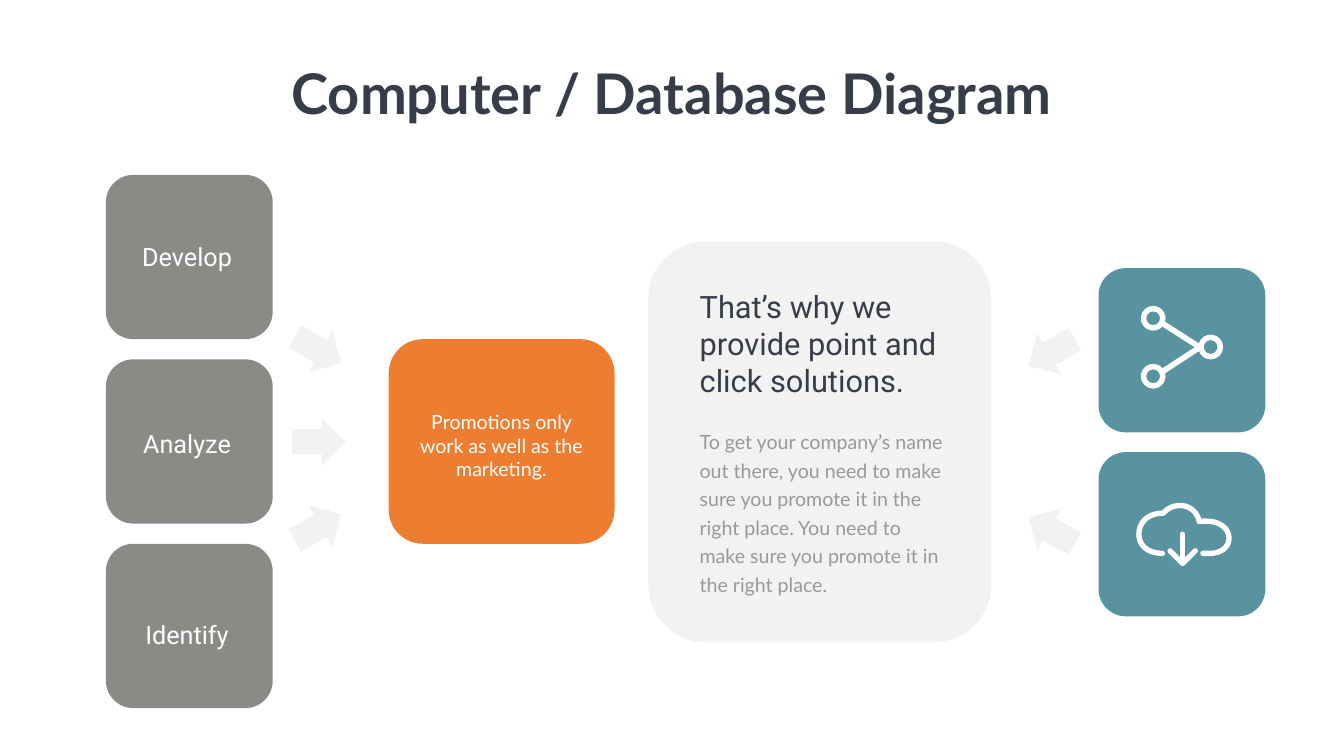
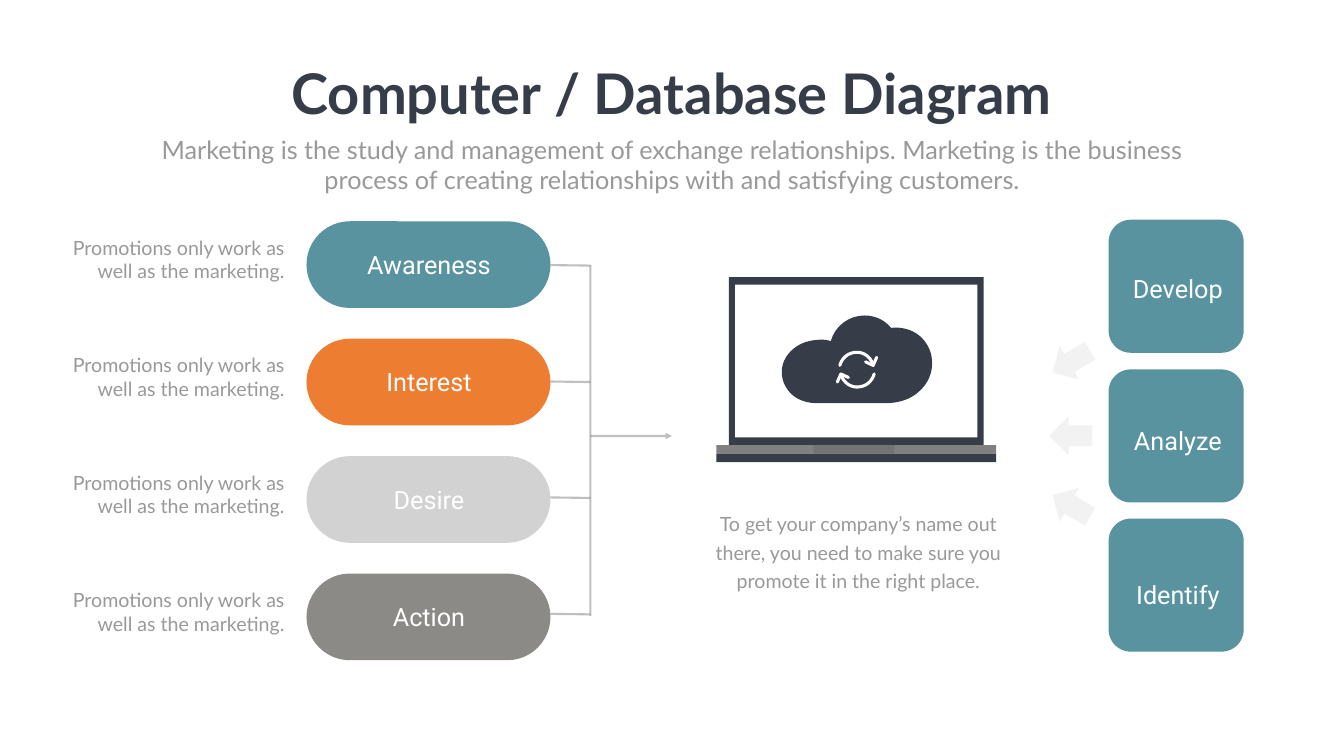
from lxml import etree
from pptx import Presentation
from pptx.dml.color import RGBColor
from pptx.enum.shapes import MSO_CONNECTOR, MSO_SHAPE
from pptx.enum.text import MSO_ANCHOR, MSO_AUTO_SIZE, PP_ALIGN
from pptx.oxml.ns import qn
from pptx.util import Emu, Pt

PX = 9144
TITLE_ONLY = 5
ROUNDED = MSO_SHAPE.ROUNDED_RECTANGLE
RECTANGLE = MSO_SHAPE.RECTANGLE
RIGHT_ARROW = MSO_SHAPE.RIGHT_ARROW
DONUT = MSO_SHAPE.DONUT
STRAIGHT = MSO_CONNECTOR.STRAIGHT
LEFT, CENTER, RIGHT = PP_ALIGN.LEFT, PP_ALIGN.CENTER, PP_ALIGN.RIGHT

COLORS = {
    "navy": "363D48",
    "teal": "59939F",
    "orange": "ED7D31",
    "stone": "8B8A87",
    "silver": "D2D2D2",
    "gray": "808080",
    "notch": "737373",
    "body": "999999",
    "white": "FFFFFF",
}
TITLE = "Computer / Database Diagram"
PROMOTION = "Promotions only work as well as the marketing."
STAGES = ("Develop", "Analyze", "Identify")

SHARE_NODES = [(2288, 632), (2402, 689), (2288, 747)]
CLOUD_OUTLINE = [
    (2306, 1098), (2274, 1098), (2259, 1080), (2259, 1060),
    (2259, 1038), (2275, 1018), (2308, 1018),
    (2316, 1008), (2328, 1003), (2341, 1003),
    (2360, 1003), (2375, 1016), (2379, 1035),
    (2383, 1034), (2389, 1034), (2393, 1034),
    (2420, 1034), (2438, 1049), (2438, 1068),
    (2438, 1087), (2420, 1098), (2400, 1098),
    (2395, 1098), (2390, 1098), (2386, 1098),
]
SOLID_CLOUD = [
    (1756, 800), (1710, 800), (1665, 800), (1620, 800),
    (1593, 800), (1570, 788), (1559, 768),
    (1548, 750), (1548, 727), (1559, 709),
    (1566, 698), (1575, 690), (1586, 684),
    (1599, 677), (1614, 674), (1631, 674),
    (1637, 674), (1642, 675), (1648, 677),
    (1656, 647), (1684, 626), (1715, 626),
    (1736, 626), (1755, 635), (1768, 651),
    (1771, 650), (1774, 650), (1776, 650),
    (1798, 650), (1817, 658), (1830, 672),
    (1843, 686), (1849, 703), (1849, 721),
    (1849, 742), (1840, 761), (1825, 775),
    (1809, 791), (1785, 800), (1756, 800),
]
SYNC_ARC = [
    (1666, 725), (1670, 710), (1683, 699), (1700, 699),
    (1713, 699), (1725, 707), (1731, 721),
]
SYNC_HEAD = [(1717, 718), (1732, 725), (1739, 709)]


def color(name):
    return RGBColor.from_string(COLORS[name])


def box(*lengths):
    return [Emu(length * PX) for length in lengths]


def set_opacity(shape, percent):
    srgb = next(shape._element.spPr.iter(qn("a:srgbClr")))
    etree.SubElement(srgb, qn("a:alpha"), val=str(percent * 1000))


def block(slide, kind, x, y, w, h, fill, adjustments=(), opacity=100):
    shape = slide.shapes.add_shape(kind, *box(x, y, w, h))
    shape.shadow.inherit = False
    for index, value in enumerate(adjustments):
        shape.adjustments[index] = value
    shape.fill.solid()
    shape.fill.fore_color.rgb = color(fill)
    shape.line.fill.background()
    if opacity < 100:
        set_opacity(shape, opacity)
    return shape


def arrow(slide, x, y, w, h, angle):
    shape = block(slide, RIGHT_ARROW, x, y, w, h, "gray", (0.532, 0.5), 10)
    shape.rotation = angle


def format_text(frame, words, size, font, ink, align, spacing=None):
    frame.word_wrap = True
    frame.auto_size = MSO_AUTO_SIZE.NONE
    frame.vertical_anchor = MSO_ANCHOR.TOP
    paragraph = frame.paragraphs[0]
    paragraph.text = words
    paragraph.alignment = align
    if spacing:
        paragraph.line_spacing = Pt(spacing)
    paragraph.font.size = Pt(size)
    paragraph.font.name = font
    paragraph.font.color.rgb = color(ink)
    return paragraph


def text(slide, x, y, w, h, words, size=28, font="Lato", ink="body",
         align=CENTER, spacing=None):
    area = slide.shapes.add_textbox(*box(x, y, w, h))
    format_text(area.text_frame, words, size, font, ink, align, spacing)


def label(slide, x, y, w, h, words):
    text(slide, x, y, w, h, words, 36, "Roboto", "white")


def connect(slide, start, end, ink="gray", width=3, opacity=100, head=False):
    line = slide.shapes.add_connector(STRAIGHT, *box(*start, *end))
    line.line.color.rgb = color(ink)
    line.line.width = Pt(width)
    if opacity < 100:
        set_opacity(line, opacity)
    properties = line._element.spPr
    if head:
        etree.SubElement(properties.find(qn("a:ln")), qn("a:tailEnd"), type="triangle")
    etree.SubElement(properties, qn("a:effectLst"))


def curve(points, steps=8):
    smooth = [points[0]]
    for first in range(0, len(points) - 1, 3):
        controls = points[first:first + 4]
        for step in range(1, steps + 1):
            t = step / steps
            weights = ((1 - t) ** 3, 3 * t * (1 - t) ** 2, 3 * t * t * (1 - t), t ** 3)
            smooth.append(tuple(
                sum(weight * point[axis] for weight, point in zip(weights, controls))
                for axis in (0, 1)))
    return smooth


def outline(slide, points, closed):
    corners = [(x * PX, y * PX) for x, y in points]
    builder = slide.shapes.build_freeform(*corners[0], scale=1.0)
    builder.add_line_segments(corners[1:], close=closed)
    shape = builder.convert_to_shape()
    shape.shadow.inherit = False
    return shape


def stroke(slide, points, width):
    shape = outline(slide, points, False)
    shape.fill.background()
    shape.line.color.rgb = color("white")
    shape.line.width = Pt(width)
    pen = shape._element.spPr.find(qn("a:ln"))
    pen.set("cap", "rnd")
    etree.SubElement(pen, qn("a:round"))


def add_titled_slide(deck):
    slide = deck.slides.add_slide(deck.slide_layouts[TITLE_ONLY])
    title = slide.shapes.title
    title.left, title.top, title.width, title.height = box(560, 112, 1545, 145)
    paragraph = format_text(title.text_frame, TITLE, 80, "Lato", "navy", CENTER)
    paragraph.font.bold = True
    return slide


def stage_column(slide, x, tops, w, h, fill, label_x, label_tops, label_w, label_h):
    for stage, top, label_top in zip(STAGES, tops, label_tops):
        block(slide, ROUNDED, x, top, w, h, fill)
        label(slide, label_x, label_top, label_w, label_h, stage)


def share_icon(slide):
    hub = SHARE_NODES[1]
    for end in (SHARE_NODES[0], SHARE_NODES[2]):
        toward = 1 if end[1] < hub[1] else -1
        connect(slide, (end[0] + 17, end[1] + 9 * toward),
                (hub[0] - 22, hub[1]), "white", 8)
    for x, y in SHARE_NODES:
        block(slide, DONUT, x - 25, y - 25, 49, 49, "white", (0.22,))


def download_icon(slide):
    stroke(slide, curve(CLOUD_OUTLINE), 7.6)
    stroke(slide, [(2346, 1060), (2346, 1117)], 7.6)
    stroke(slide, [(2321, 1093), (2346, 1118), (2371, 1093)], 7.6)


def laptop(slide):
    for x, y, w, h, fill in (
        (1446, 550, 505, 333, "navy"),
        (1458, 565, 481, 303, "white"),
        (1421, 883, 555, 17, "gray"),
        (1421, 900, 555, 17, "navy"),
        (1614, 883, 160, 17, "notch"),
    ):
        block(slide, RECTANGLE, x, y, w, h, fill)
    cloud = outline(slide, curve(SOLID_CLOUD), True)
    cloud.fill.solid()
    cloud.fill.fore_color.rgb = color("navy")
    cloud.line.fill.background()
    for part in (curve(SYNC_ARC), SYNC_HEAD):
        stroke(slide, part, 4.4)
        stroke(slide, [(3400 - x, 1467 - y) for x, y in part], 4.4)


def build_solution_slide(deck):
    slide = add_titled_slide(deck)
    block(slide, ROUNDED, 1286, 479, 680, 795, "gray", opacity=10)
    text(slide, 1378, 838, 510, 349,
         "To get your company’s name out there, you need to make sure you promote "
         "it in the right place. You need to make sure you promote it in the right place.",
         align=LEFT, spacing=40.8)
    text(slide, 1378, 566, 535, 232, "That’s why we provide point and click solutions.",
         44, "Roboto", "navy", LEFT)
    block(slide, ROUNDED, 771, 673, 448, 406, "orange")
    text(slide, 819, 809, 351, 151, PROMOTION, ink="white")
    stage_column(slide, 210, (347, 713, 1079), 331, 326, "stone",
                 157, (473, 845, 1223), 428, 71)
    for top in (532, 897):
        block(slide, ROUNDED, 2179, top, 331, 326, "teal")
    for x, y, angle in ((578, 647, 30), (580, 829, 0), (578, 999, 330),
                        (2033, 652, 150), (2033, 1005, 210)):
        arrow(slide, x, y, 106, 95, angle)
    share_icon(slide)
    download_icon(slide)


def build_funnel_slide(deck):
    slide = add_titled_slide(deck)
    text(slide, 292, 261, 2082, 131,
         "Marketing is the study and management of exchange relationships. Marketing is "
         "the business process of creating relationships with and satisfying customers.", 36)
    steps = (("Awareness", "teal"), ("Interest", "orange"),
             ("Desire", "silver"), ("Action", "stone"))
    for index, (step, fill) in enumerate(steps):
        top = 439 + 233 * index
        branch = 526 + round(230.7 * index)
        text(slide, 89, top + 24, 485, 104, PROMOTION, align=RIGHT)
        block(slide, ROUNDED, 608, top, 484, 172, fill, (0.5,))
        label(slide, 678, top + 50, 346, 71, step)
        connect(slide, (1092, branch), (1171, branch + 1), opacity=50)
    connect(slide, (1171, 526), (1171, 1222), opacity=50)
    connect(slide, (1171, 865), (1333, 865), opacity=50, head=True)
    stage_column(slide, 2199, (436, 733, 1029), 268, 264, "teal",
                 2163, (538, 839, 1145), 347, 57)
    for x, y, angle in ((2082, 679, 150), (2081, 826, 180), (2082, 965, 210)):
        arrow(slide, x, y, 86, 77, angle)
    laptop(slide)
    text(slide, 1391, 1001, 623, 177,
         "To get your company’s name out there, you need to make sure you promote "
         "it in the right place.", spacing=40.8)


def main():
    deck = Presentation()
    deck.slide_width, deck.slide_height = box(2666, 1500)
    build_solution_slide(deck)
    build_funnel_slide(deck)
    deck.save("out.pptx")


if __name__ == "__main__":
    main()
